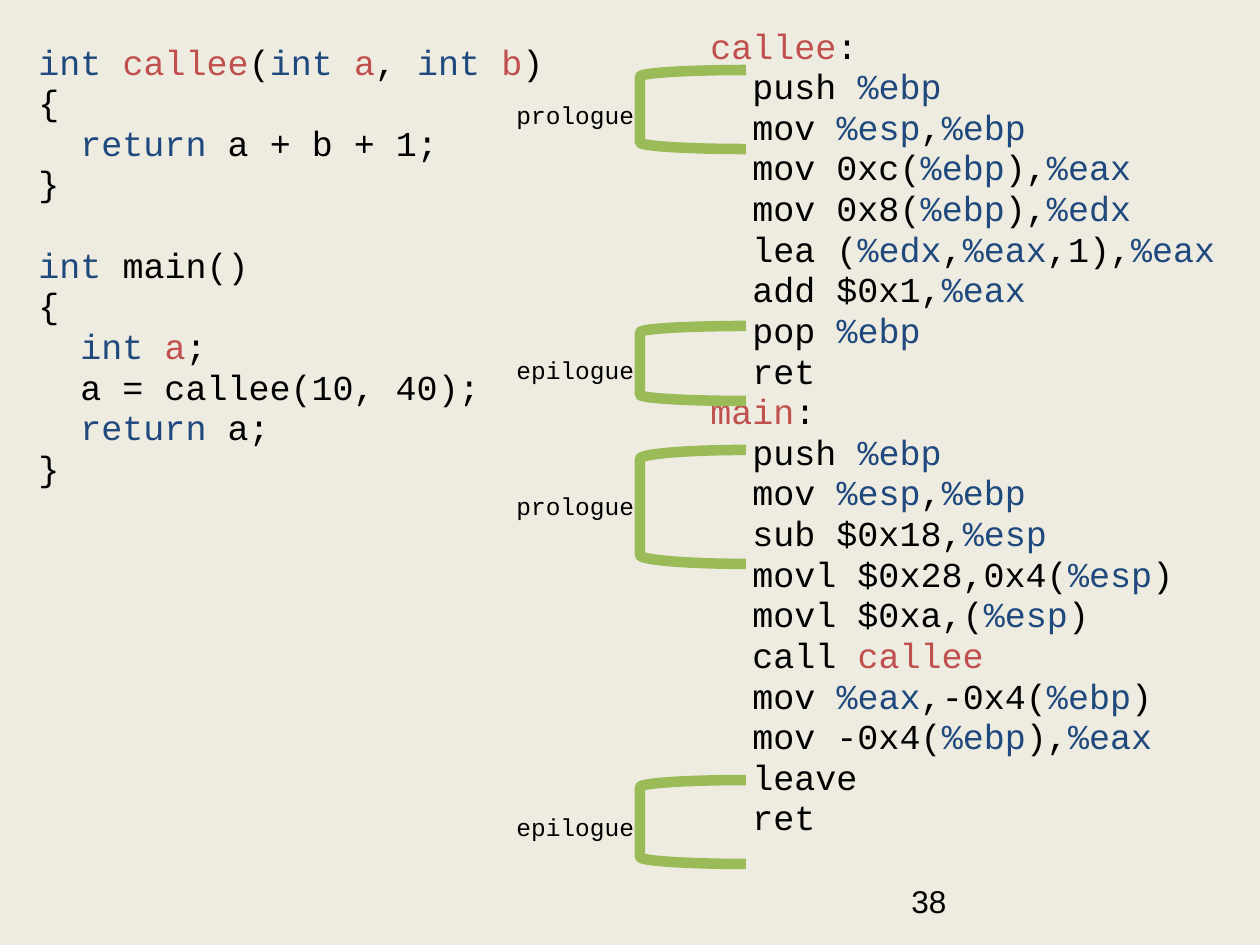
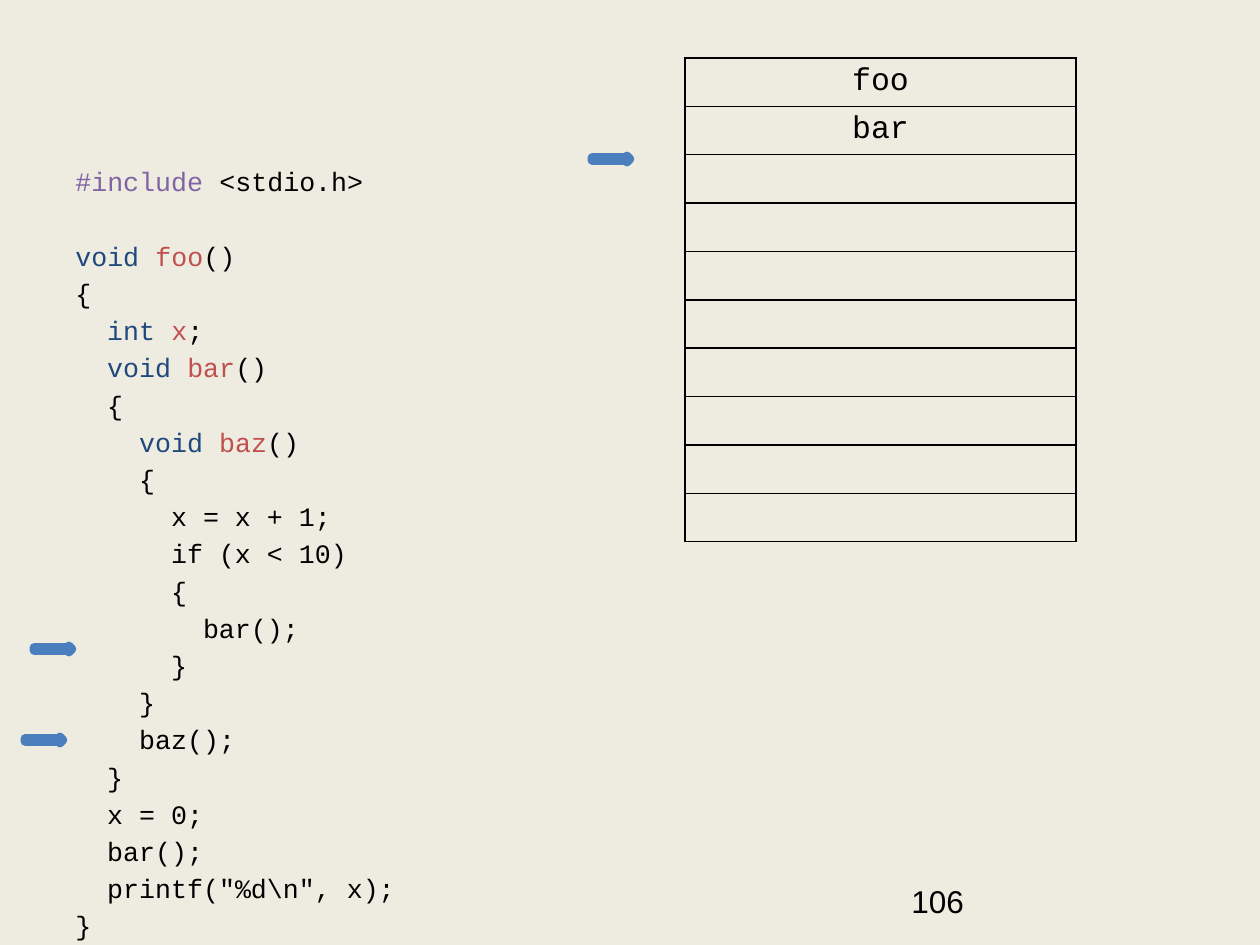
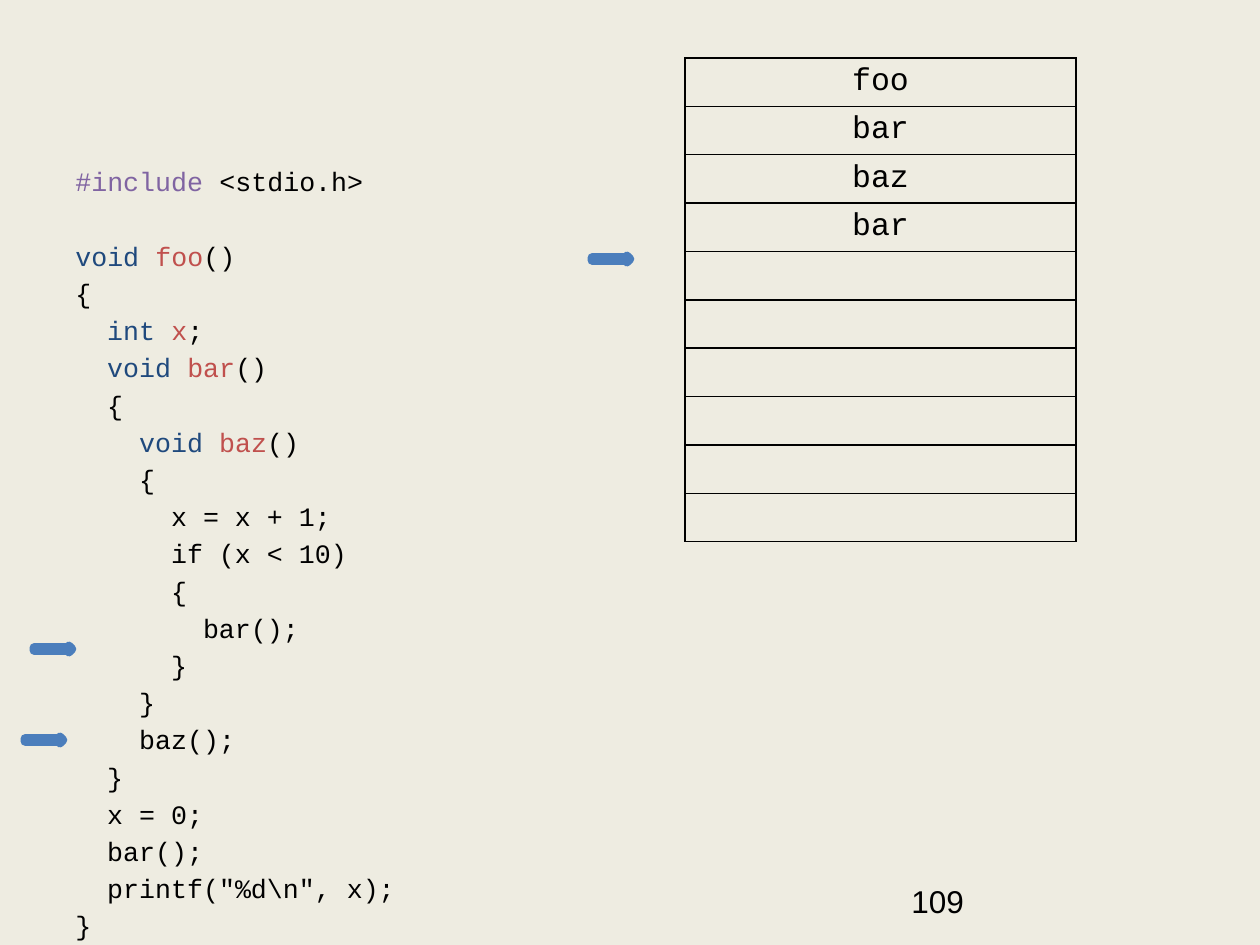
import pptx
import pptx.util
import pptx.dml.color
import pptx.enum.shapes
import pptx.enum.text
import pptx.oxml
import pptx.oxml.ns

SCALE = 914400 / 126  # EMU per pixel
CODE_FONT, NUMBER_FONT = "Courier New", "Arial"
PAPER, INK = "EEECE1", "000000"
BRACKET, ARROW_EDGE = "9BBB59", "4B7EBC"
ARROW_FILL = ("3F80CE", "A4C4FF")
# First character of a code part -> colour: keyword or register, name, directive
SYNTAX = {"~": "1F497D", "!": "C0504D", "^": "8064A2"}

# "|" separates the parts of a line; leading blanks become an indent
CALLEE_C = """\
~int |!callee|(|~int |!a|, |~int |!b|)
{
  ~return |a + b + 1;
}

~int |main()
{
  ~int |!a|;
  a = callee(10, 40);
  ~return| a;
}"""

CALLEE_ASM = """\
!callee|:
  push |~%ebp
  mov |~%esp|,|~%ebp
  mov 0xc(|~%ebp|),|~%eax
  mov 0x8(|~%ebp|),|~%edx
  lea (|~%edx|,|~%eax|,1),|~%eax
  add $0x1,|~%eax
  pop |~%ebp
  ret
!main|:
  push |~%ebp
  mov |~%esp|,|~%ebp
  sub $0x18,|~%esp
  movl $0x28,0x4(|~%esp|)
  movl $0xa,(|~%esp|)
  call |!callee
  mov |~%eax|,-0x4(|~%ebp|)
  mov -0x4(|~%ebp|),|~%eax
  leave
  ret"""

NESTED_C = """\
^#include |<stdio.h>

~void |!foo|()
{
  ~int |!x|;
  ~void |!bar|()
  {
    ~void |!baz|()
    {
      x = x + 1;
      if (x < 10)
      {
        bar();
      }
    }
    baz();
  }
  x = 0;
  bar();
  printf("%d\\n", x);
}"""


def px(pixels):
    return pptx.util.Emu(round(pixels * SCALE))


def box(*pixels):
    return [px(p) for p in pixels]


def rgb(code):
    return pptx.dml.color.RGBColor.from_string(code)


def add_run(paragraph, text, size, font=CODE_FONT, colour=INK):
    run = paragraph.add_run()
    run.text = text
    run.font.size = pptx.util.Pt(size)
    run.font.name = font
    run.font.color.rgb = rgb(colour)


def add_frame(shapes, area):
    frame = shapes.add_textbox(*box(*area)).text_frame
    frame.word_wrap = True
    frame.vertical_anchor = pptx.enum.text.MSO_ANCHOR.TOP
    return frame


def add_label(shapes, area, text, size, font=CODE_FONT):
    add_run(add_frame(shapes, area).paragraphs[0], text, size, font)


def add_code(slide, area, source, size, spacing, pitch):
    """Coloured listing; pitch is the line distance in points."""
    frame = add_frame(slide.shapes, area)
    before = 0.2 * size
    paragraph, gap = frame.paragraphs[0], before
    for line in source.split("\n"):
        if not line:
            gap += pitch  # a blank line is kept as space before the next
            continue
        if paragraph is None:
            paragraph = frame.add_paragraph()
        paragraph.line_spacing = spacing
        paragraph.space_before = pptx.util.Pt(gap)
        code = line.lstrip()
        indent = (len(line) - len(code)) * 0.6 * size  # monospaced advance
        properties = paragraph._p.get_or_add_pPr()
        properties.set("marL", str(int(pptx.util.Pt(indent))))
        properties.set("indent", "0")
        for part in code.split("|"):
            colour = SYNTAX.get(part[0], INK)
            add_run(paragraph, part[1:] if part[0] in SYNTAX else part,
                    size, colour=colour)
        paragraph, gap = None, before


def add_bracket(slide, name, top, height, label_top):
    shapes = slide.shapes.add_group_shape().shapes
    bracket = shapes.add_shape(pptx.enum.shapes.MSO_SHAPE.RIGHT_BRACKET,
                               *box(640, top, 106, height))
    bracket.element.spPr.xfrm.set("flipH", "1")
    bracket.shadow.inherit = False
    bracket.fill.background()
    bracket.line.color.rgb = rgb(BRACKET)
    bracket.line.width = pptx.util.Pt(6)
    add_label(shapes, (504, label_top, 189, 45), name, 14)


def add_pointer(slide, left, top):
    arrow = slide.shapes.add_shape(pptx.enum.shapes.MSO_SHAPE.RIGHT_ARROW,
                                   *box(left, top, 38, 6))
    arrow.shadow.inherit = False
    arrow.fill.gradient()
    arrow.fill.gradient_angle = 90
    for stop, colour in zip(arrow.fill.gradient_stops, ARROW_FILL):
        stop.color.rgb = rgb(colour)
    arrow.line.color.rgb = rgb(ARROW_EDGE)
    arrow.line.width = pptx.util.Pt(5)


def set_borders(cell):
    properties = cell._tc.get_or_add_tcPr()
    for index, side in enumerate(("lnL", "lnR", "lnT", "lnB")):
        properties.insert(index, pptx.oxml.parse_xml(
            f'<a:{side} {pptx.oxml.ns.nsdecls("a")} w="12700"><a:solidFill>'
            f'<a:srgbClr val="{INK}"/></a:solidFill></a:{side}>'))


def add_stack(slide, calls, rows=10):
    table = slide.shapes.add_table(rows, 1, *box(685, 58, 391, 484)).table
    table.first_row = table.horz_banding = False
    for row in range(rows):
        cell = table.cell(row, 0)
        cell.fill.background()
        cell.margin_top = cell.margin_bottom = px(1)
        cell.vertical_anchor = pptx.enum.text.MSO_ANCHOR.MIDDLE
        set_borders(cell)
        if row < len(calls):
            paragraph = cell.text_frame.paragraphs[0]
            paragraph.alignment = pptx.enum.text.PP_ALIGN.CENTER
            add_run(paragraph, calls[row], 18)


def add_slide(deck, number):
    slide = deck.slides.add_slide(deck.slide_layouts.get_by_name("Blank"))
    add_label(slide.shapes, (899, 876, 294, 50), number, 18, NUMBER_FONT)
    return slide


def calling_slide(deck):
    slide = add_slide(deck, "38")
    style = dict(size=20, spacing=0.8, pitch=23.25)
    add_code(slide, (26, 42, 583, 624), CALLEE_C, **style)
    add_code(slide, (698, 26, 804, 919), CALLEE_ASM, **style)
    for name, top, height, label_top in (("prologue", 70, 79, 94),
                                         ("epilogue", 326, 75, 349),
                                         ("prologue", 450, 114, 485),
                                         ("epilogue", 780, 84, 806)):
        add_bracket(slide, name, top, height, label_top)


def stack_slide(deck, number, calls, stack_pointer_top):
    slide = add_slide(deck, number)
    add_code(slide, (63, 159, 1134, 685), NESTED_C,
             size=15.2, spacing=1.0, pitch=21.26)
    add_stack(slide, calls)
    for left, top in ((592, stack_pointer_top), (25, 737), (34, 646)):
        add_pointer(slide, left, top)


def main():
    deck = pptx.Presentation()
    deck.slide_width, deck.slide_height = box(1260, 945)
    # Shared background
    paper = deck.slide_master.background.fill
    paper.solid()
    paper.fore_color.rgb = rgb(PAPER)

    calling_slide(deck)
    stack_slide(deck, "106", ["foo", "bar"], 156)
    stack_slide(deck, "109", ["foo", "bar", "baz", "bar"], 256)
    deck.save("out.pptx")


main()
